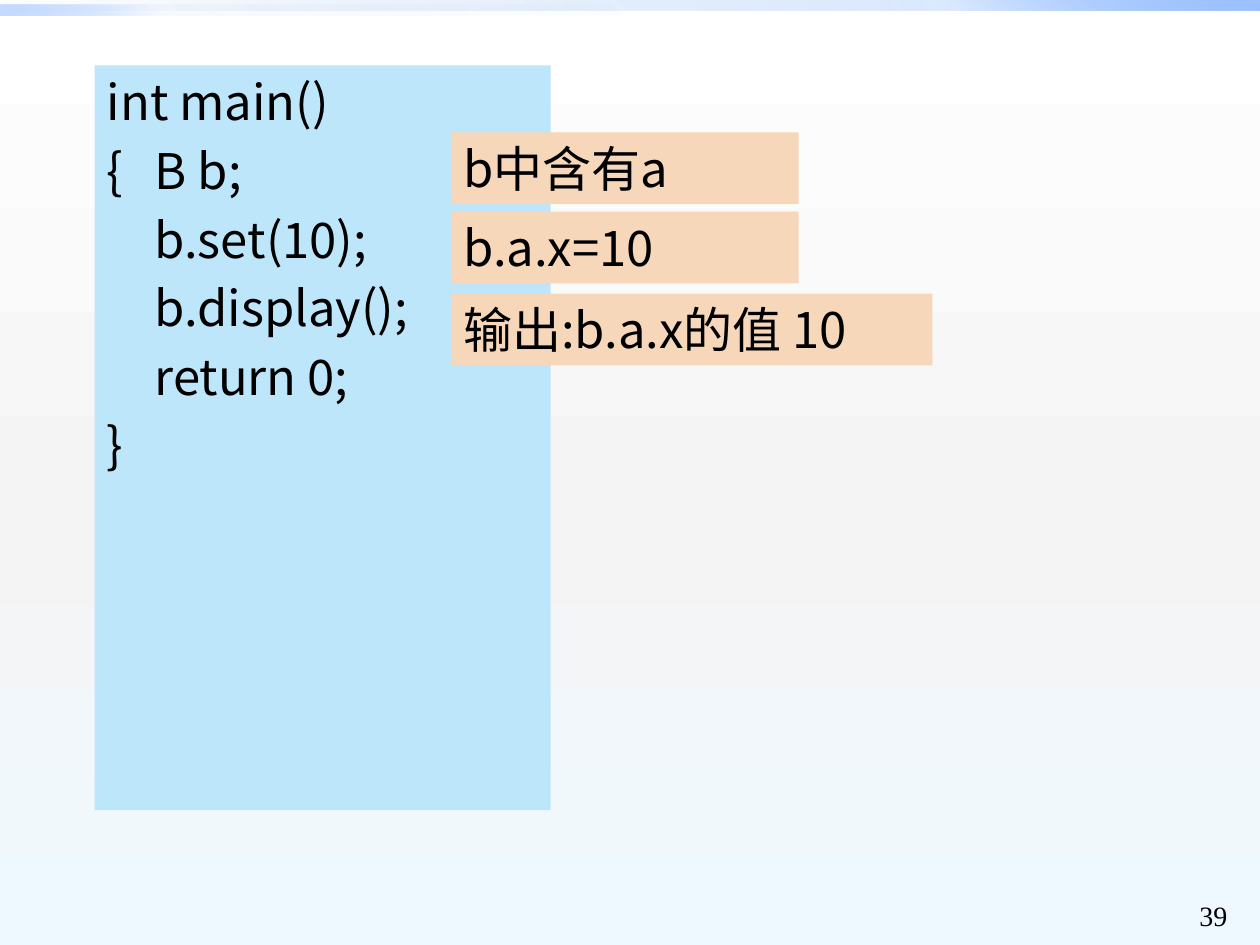
"""Build the slide that walks through main() with a note beside each call."""
import pptx
import pptx.util
import pptx.dml.color
import pptx.enum.shapes
import pptx.enum.text
import pptx.oxml.ns
import lxml.etree

RGB = pptx.dml.color.RGBColor
BLACK = RGB(0, 0, 0)
WHITE = RGB(0xFF, 0xFF, 0xFF)
GREY = RGB(0xF4, 0xF4, 0xF4)
ICE = RGB(0xEE, 0xF9, 0xFF)
DEEP = RGB(0x00, 0x58, 0xB7)
BLUE = RGB(0x4F, 0x95, 0xFF)
PALE = RGB(0x9E, 0xC2, 0xFF)
SKY = RGB(0xBE, 0xE6, 0xFB)
PEACH = RGB(0xF6, 0xD7, 0xBA)
SANS = "Noto Sans CJK SC"
RECT = pptx.enum.shapes.MSO_SHAPE.RECTANGLE
qn = pptx.oxml.ns.qn

deck = pptx.Presentation()
deck.slide_width = pptx.util.Inches(10)
deck.slide_height = pptx.util.Inches(7.5)
col = deck.slide_width / 100
row = deck.slide_height / 100
slide = deck.slides.add_slide(deck.slide_layouts[6])


def blend(fill, root, stops, angle):
    fill.gradient()
    grad = next(root.iter(qn("a:gradFill")))
    grad.find(qn("a:lin")).set("ang", str(angle * 60000))
    group = grad.find(qn("a:gsLst"))
    for old in list(group):
        group.remove(old)
    for place, tint, alpha in stops:
        stop = lxml.etree.SubElement(group, qn("a:gs"), pos=str(place * 1000))
        color = lxml.etree.SubElement(stop, qn("a:srgbClr"), val=str(tint))
        if alpha < 100:
            lxml.etree.SubElement(color, qn("a:alpha"), val=str(alpha * 1000))


def panel(x, y, wide, high, lines, size=28, face=SANS, tint=None):
    box = slide.shapes.add_shape(RECT, *(int(n) for n in (x * col, y * row, wide * col, high * row)))
    box.shadow.inherit = False
    box.line.fill.background()
    if tint is None:
        box.fill.background()
    else:
        box.fill.solid()
        box.fill.fore_color.rgb = tint
    frame = box.text_frame
    frame.word_wrap = True
    frame.vertical_anchor = pptx.enum.text.MSO_ANCHOR.TOP
    for i, line in enumerate(lines):
        para = frame.add_paragraph() if i else frame.paragraphs[0]
        para.alignment = pptx.enum.text.PP_ALIGN.LEFT
        if i:
            para.space_before = pptx.util.Pt(size * 0.2)
        if len(lines) > 1:
            props = para._p.get_or_add_pPr()
            props.set("marL", str(int(3.8 * col)))
            props.set("indent", str(int(-3.8 * col)))
        if line:
            run = para.add_run()
            run.text = line
            run.font.size = pptx.util.Pt(size)
            run.font.name = face
            run.font.color.rgb = BLACK
            lxml.etree.SubElement(run.font._element, qn("a:ea"), typeface=face)
    return box


back = slide.background.fill
blend(back, slide.element, [(0, WHITE, 100), (55, GREY, 100), (100, ICE, 100)], 90)

for y, wide, mid, end, angle in [(0, 100, 20, 100, 315), (0.5, 50, 5, 60, 135)]:
    band = panel(0, y, wide, 1.1, [""])
    blend(band.fill, band.element, [(0, DEEP, 0), (75, BLUE, mid), (100, PALE, end)], angle)

code = ["int main()", "{\tB b;", "\tb.set(10);", "\tb.display();", "\treturn 0;", "}"]
panel(7.5, 6.93, 36.2, 78.8, code, tint=SKY)
panel(94.2, 94.4, 5.8, 4.93, ["39"], 16, "Times New Roman")

notes = [(14, 27.6, "b中含有a"), (22.4, 27.6, "b.a.x=10"), (31.07, 38.2, "输出:b.a.x的值 10")]
for y, wide, note in notes:
    panel(35.8, y, wide, 7.6, [note], tint=PEACH)

deck.save("out.pptx")
